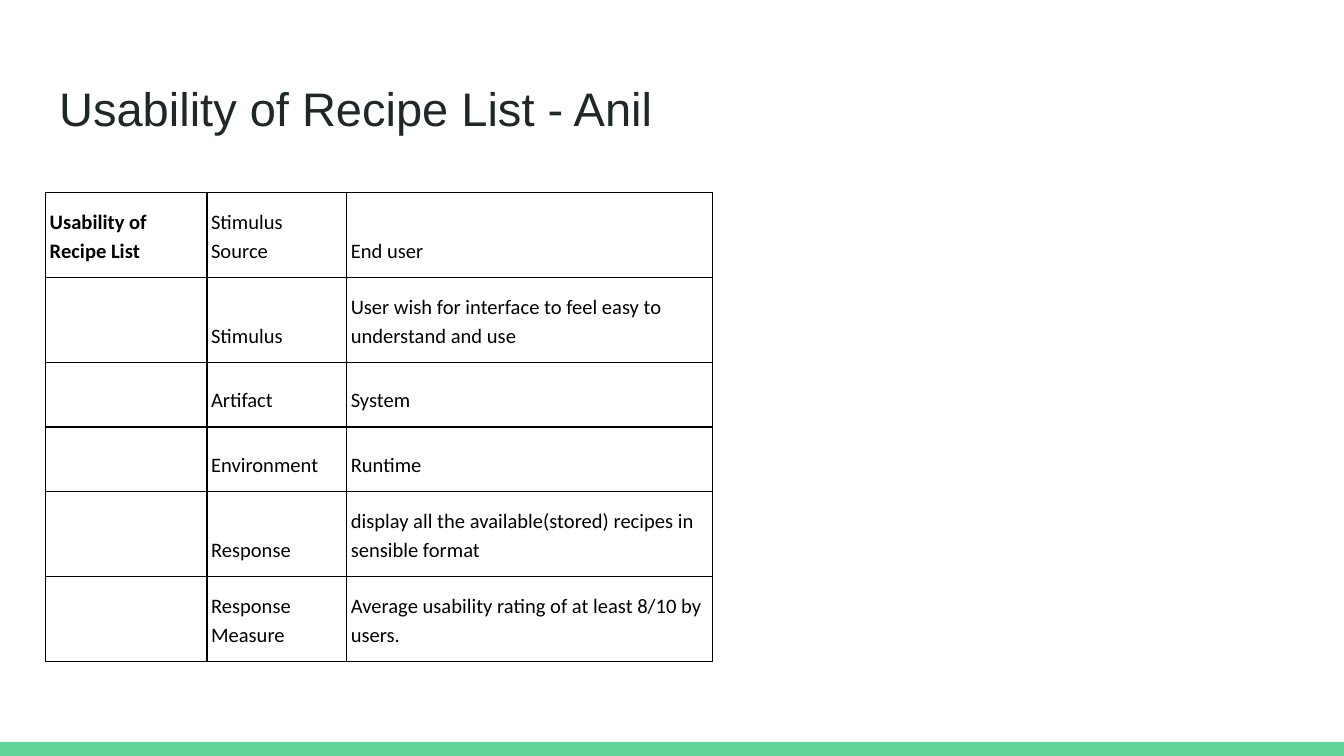
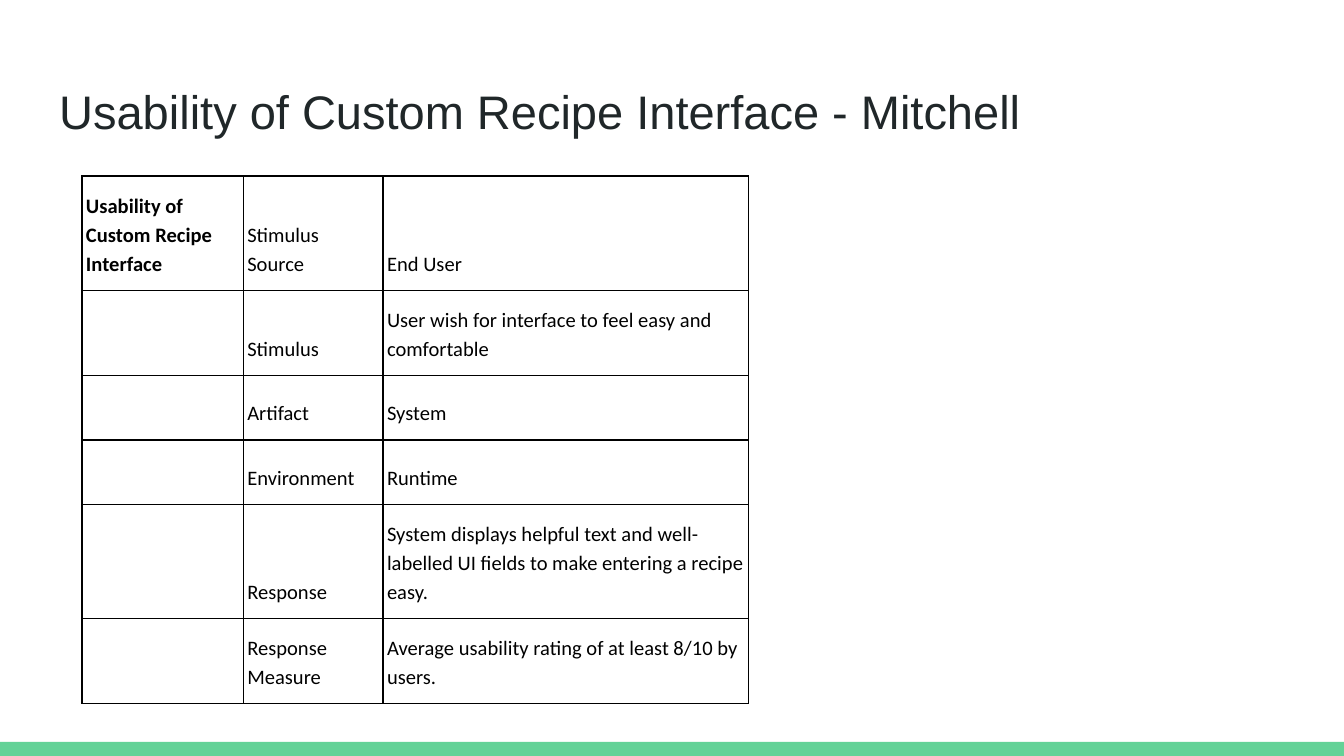
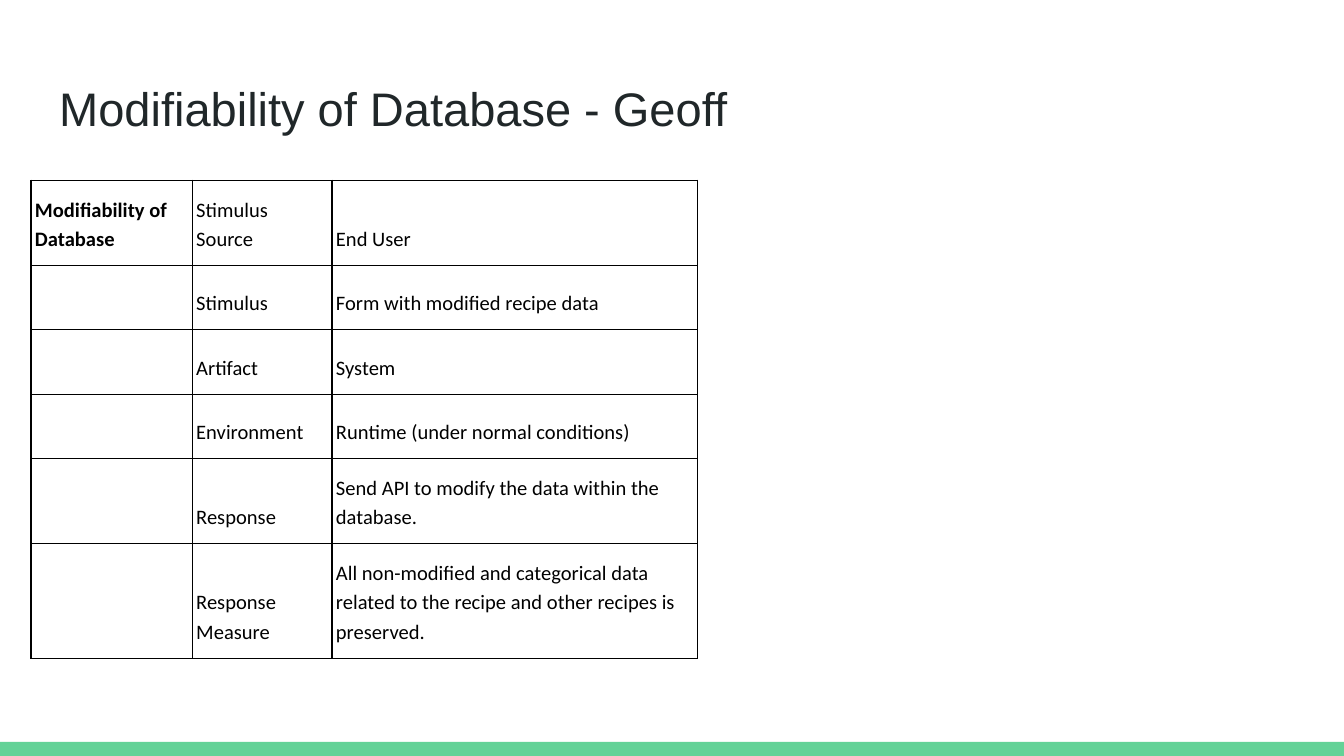
"""Build three quality scenario slides, each with a title and a table."""
from dataclasses import dataclass

from lxml import etree
from pptx import Presentation
from pptx.dml.color import RGBColor
from pptx.enum.shapes import MSO_SHAPE
from pptx.enum.text import MSO_ANCHOR, MSO_AUTO_SIZE, PP_ALIGN
from pptx.oxml.ns import qn
from pptx.util import Inches, Pt

RECT = MSO_SHAPE.RECTANGLE
BOTTOM = MSO_ANCHOR.BOTTOM
MIDDLE = MSO_ANCHOR.MIDDLE
LEFT = PP_ALIGN.LEFT
NO_FIT = MSO_AUTO_SIZE.NONE

COLORS = {"page": "FFFFFF", "band": "63D297", "title": "202729", "text": "000000"}
WIDTH = 10
HEIGHT = WIDTH * 9 / 16
BAND_TOP, BAND_TALL = 5.52, 0.11
COLS = (1.2, 1.04, 2.72)
PAD_X, PAD_Y = 0.03, 0.1
ROW_TALLS = {1: 0.48, 2: 0.63, 3: 0.85}
LABELS = ("Stimulus Source", "Stimulus", "Artifact", "Environment",
          "Response", "Response Measure")
RATING = "Average usability rating of at least 8/10 by users."


@dataclass(frozen=True)
class Scene:
    """One scenario: its title, table place, values and lines per row."""
    name: str
    owner: str
    left: float
    top: float
    values: tuple[str, ...]
    lines: tuple[int, ...]
    title_top: float = 0.49


SCENES = (
    Scene("Usability of Recipe List", "Anil", 0.34, 1.43,
          ("End user",
           "User wish for interface to feel easy to understand and use",
           "System", "Runtime",
           "display all the available(stored) recipes in sensible format",
           RATING),
          (2, 2, 1, 1, 2, 2)),
    Scene("Usability of Custom Recipe Interface", "Mitchell", 0.61, 1.31,
          ("End User",
           "User wish for interface to feel easy and comfortable",
           "System", "Runtime",
           "System displays helpful text and well-labelled UI fields "
           "to make entering a recipe easy.",
           RATING),
          (3, 2, 1, 1, 3, 2), title_top=0.51),
    Scene("Modifiability of Database", "Geoff", 0.23, 1.34,
          ("End User", "Form with modified recipe data", "System",
           "Runtime (under normal conditions)",
           "Send API to modify the data within the database.",
           "All non-modified and categorical data related to the recipe "
           "and other recipes is preserved."),
          (2, 1, 1, 1, 2, 3)),
)


def rgb(name: str) -> RGBColor:
    """Return a named colour."""
    return RGBColor.from_string(COLORS[name])


def write(frame, text: str, *, font: str = "Calibri", size: float = 11,
          color: str = "text", bold: bool = False, space: float = 1.0) -> None:
    """Write one formatted paragraph into a text frame."""
    para = frame.paragraphs[0]
    para.alignment = LEFT
    para.line_spacing = space
    run = para.add_run()
    run.text = text
    run.font.name = font
    run.font.size = Pt(size)
    run.font.bold = bold
    run.font.color.rgb = rgb(color)


def pad(box, side: float, end: float) -> None:
    """Set the inner margins of a cell or text frame."""
    box.margin_left = box.margin_right = Inches(side)
    box.margin_top = box.margin_bottom = Inches(end)


def edge(cell) -> None:
    """Draw thin lines on all four sides of a cell."""
    props = cell._tc.get_or_add_tcPr()
    for spot, side in enumerate(("a:lnL", "a:lnR", "a:lnT", "a:lnB")):
        line = etree.Element(qn(side), w=str(Pt(0.75)))
        fill = etree.SubElement(line, qn("a:solidFill"))
        etree.SubElement(fill, qn("a:srgbClr"), val=COLORS["text"])
        props.insert(spot, line)


def add_band(slide, layout) -> None:
    """Draw the bottom band and hand it to the shared layout."""
    band = slide.shapes.add_shape(RECT, 0, Inches(BAND_TOP),
                                  Inches(WIDTH), Inches(BAND_TALL))
    band.shadow.inherit = False
    band.fill.solid()
    band.fill.fore_color.rgb = rgb("band")
    band.line.fill.background()
    layout.shapes.element.append(band.element)


def add_title(slide, scene: Scene) -> None:
    """Place and fill the title."""
    title = slide.shapes.title
    title.left, title.top = Inches(0.34), Inches(scene.title_top)
    title.width, title.height = Inches(9.32), Inches(0.63)
    frame = title.text_frame
    frame.word_wrap = True
    frame.auto_size = NO_FIT
    frame.vertical_anchor = MIDDLE
    pad(frame, 0.1, 0.1)
    write(frame, f"{scene.name} - {scene.owner}", font="Arial", size=25.2,
          color="title")


def add_grid(slide, scene: Scene) -> None:
    """Draw the scenario table, with rows as tall as their lines need."""
    talls = [ROW_TALLS[count] for count in scene.lines]
    grid = slide.shapes.add_table(
        len(LABELS), len(COLS), Inches(scene.left), Inches(scene.top),
        Inches(sum(COLS)), Inches(sum(talls))).table
    grid.first_row = grid.horz_banding = False
    for col, wide in zip(grid.columns, COLS):
        col.width = Inches(wide)
    for row, tall in zip(grid.rows, talls):
        row.height = Inches(tall)
    for r, pair in enumerate(zip(LABELS, scene.values)):
        head = "" if r else scene.name
        for c, text in enumerate((head, *pair)):
            cell = grid.cell(r, c)
            cell.fill.background()
            edge(cell)
            if text:
                pad(cell, PAD_X, PAD_Y)
                cell.vertical_anchor = BOTTOM
                write(cell.text_frame, text, bold=c == 0, space=1.15)


def main() -> None:
    """Build and save the deck."""
    deck = Presentation()
    deck.slide_width, deck.slide_height = Inches(WIDTH), Inches(HEIGHT)
    back = deck.slide_master.background.fill
    back.solid()
    back.fore_color.rgb = rgb("page")
    layout = deck.slide_layouts.get_by_name("Title Only")
    for scene in SCENES:
        slide = deck.slides.add_slide(layout)
        add_title(slide, scene)
        add_grid(slide, scene)
    add_band(slide, layout)
    deck.save("out.pptx")


if __name__ == "__main__":
    main()
